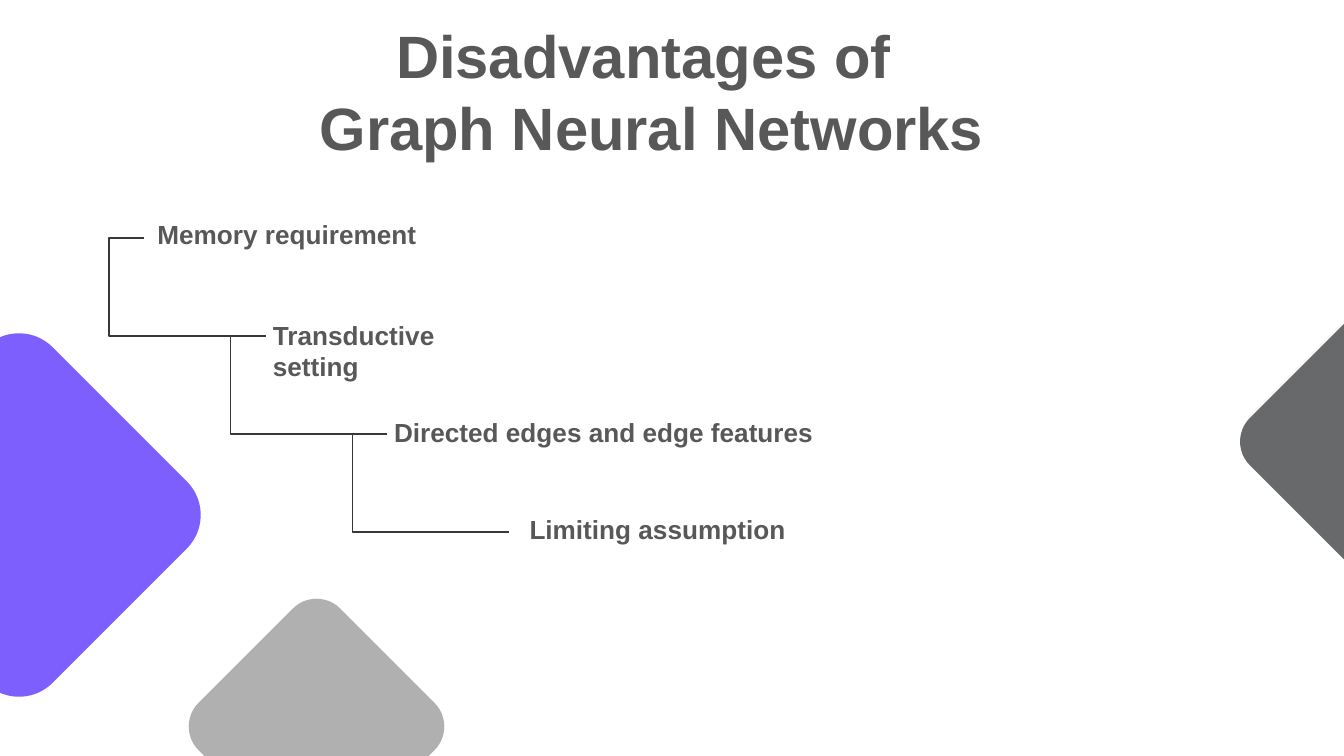
from lxml.etree import SubElement
from pptx import Presentation
from pptx.dml.color import RGBColor
from pptx.enum.shapes import MSO_CONNECTOR as Connector, MSO_SHAPE as Shape
from pptx.enum.text import MSO_AUTO_SIZE as AutoSize, PP_ALIGN as Align
from pptx.oxml.ns import qn
from pptx.util import Pt

COLOURS = {"text": "585858", "line": "353738", "violet": "7D5FFE",
           "silver": "B0B0B0", "slate": "67696B"}
FONT = "Arial"
WIDTH, HEIGHT = 720, 405


def colour(name):
    """Return the named colour of the palette."""
    return RGBColor.from_string(COLOURS[name])


def add_text(slide, box, wording, size, align=Align.LEFT):
    """Place bold wording in a box given as left, top, width, height."""
    frame = slide.shapes.add_textbox(*map(Pt, box)).text_frame
    frame.word_wrap = True
    frame.auto_size = AutoSize.SHAPE_TO_FIT_TEXT
    frame.text = wording
    for paragraph in frame.paragraphs:
        paragraph.alignment = align
        for run in paragraph.runs:
            run.font.name = FONT
            run.font.size = Pt(size)
            run.font.bold = True
            run.font.color.rgb = colour("text")


def add_diamonds(slide, box):
    """Place the rounded diamonds around the edges of the box."""
    left, top, width, height = box
    diamonds = [(10.2, 275.9, 152.6, "violet"),
                (169.6, height - 15.8, 107.3, "silver"),
                (width + 12.8, 236.6, 107.3, "slate")]
    for centre_x, centre_y, side, fill in diamonds:
        diamond = slide.shapes.add_shape(
            Shape.ROUNDED_RECTANGLE, Pt(left + centre_x - side / 2),
            Pt(top + centre_y - side / 2), Pt(side), Pt(side))
        diamond.rotation = 315
        diamond.shadow.inherit = False
        diamond.fill.solid()
        diamond.fill.fore_color.rgb = colour(fill)
        diamond.line.fill.background()


def add_step(slide, box):
    """Place an elbow that leaves the box's top left and ends bottom right."""
    left, top, width, height = box
    elbow = slide.shapes.add_connector(
        Connector.ELBOW, Pt(left), Pt(top), Pt(left + width), Pt(top + height))
    elbow.line.color.rgb = colour("line")
    elbow.line.width = Pt(0.75)
    properties = elbow._element.spPr
    guides = properties.find(qn("a:prstGeom")).get_or_add_avLst()
    SubElement(guides, qn("a:gd"), name="adj1", fmla="val -28800")
    SubElement(properties, qn("a:effectLst"))


def add_staircase(slide, box):
    """Place the disadvantages as steps that descend through the box."""
    left, top, width, height = box
    disadvantages = [("Memory requirement", 0, -13.8, 194.4),
                     ("Transductive setting", -3.3, -12.7, 145.4),
                     ("Directed edges and edge features", -3.6, -13, 253.4),
                     ("Limiting assumption", 3.8, -13.8, 169.9)]
    steps = len(disadvantages) - 1
    run, rise = width / steps, height / steps
    for index, (wording, shift_x, shift_y, label_width) in enumerate(disadvantages):
        x, y = left + index * run, top + index * rise
        add_text(slide, (x + shift_x, y + shift_y, label_width, 24.5), wording, 14)
        if index < steps:
            add_step(slide, (x, y, run, rise))


def main():
    """Build and save the slide."""
    deck = Presentation()
    deck.slide_width, deck.slide_height = Pt(WIDTH), Pt(HEIGHT)
    slide = deck.slides.add_slide(deck.slide_layouts[6])
    add_diamonds(slide, (0, 0, WIDTH, HEIGHT))
    add_text(slide, (102.2, 6.5, 485.3, 85),
             "Disadvantages of\n Graph Neural Networks", 32, Align.CENTER)
    add_staircase(slide, (77.2, 127.5, 195.6, 157.6))
    deck.save("out.pptx")


if __name__ == "__main__":
    main()
